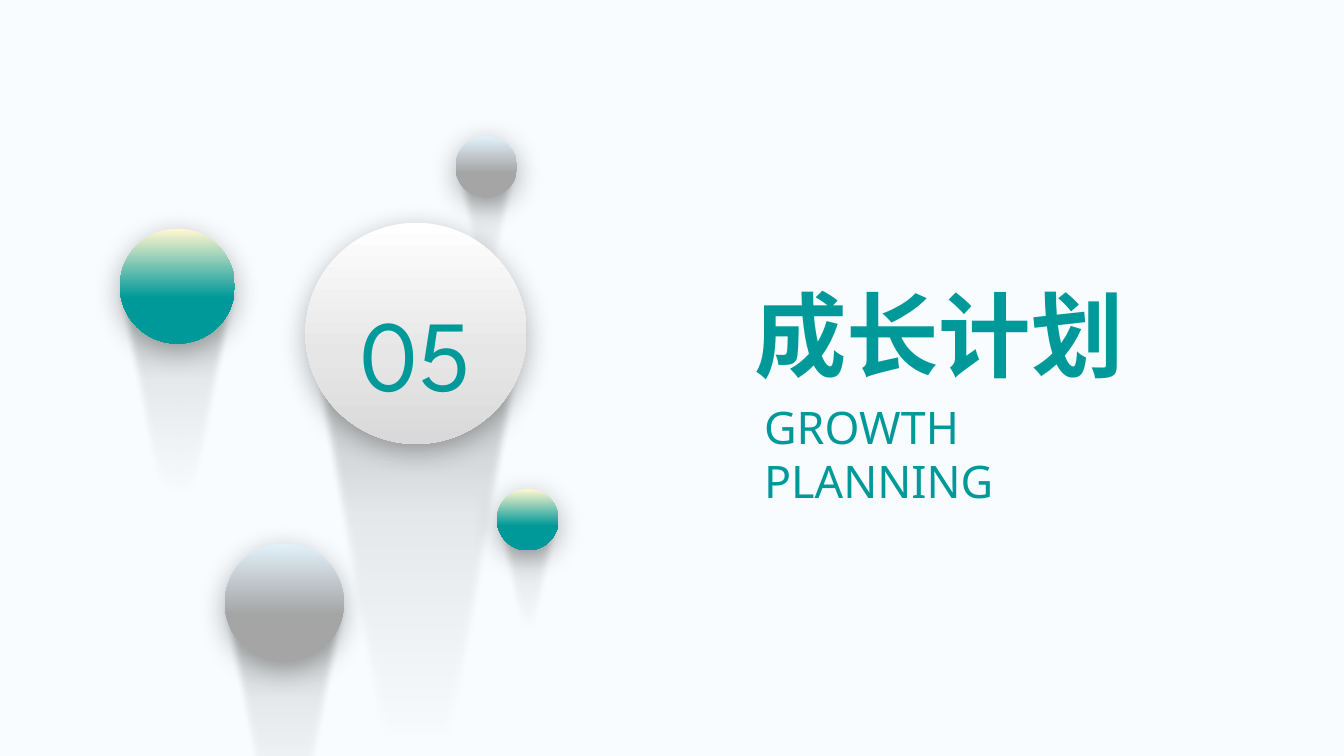
from lxml.etree import SubElement
from pptx import Presentation
from pptx.dml.color import RGBColor
from pptx.enum.shapes import MSO_SHAPE
from pptx.enum.text import MSO_ANCHOR, MSO_AUTO_SIZE, PP_ALIGN
from pptx.oxml.ns import qn
from pptx.util import Pt

HUES = {"back": "F8FCFE", "teal": "009999", "cream": "FFF6CF",
        "grey": "A5A5A5", "ice": "E1F0F9", "white": "FFFFFF",
        "pale": "E7E6E6", "silver": "D9D9D9",
        "black": "000000", "soot": "262626"}

# Gradient stops: position %, colour, opacity %
TEAL = [(1, "cream", 100), (60, "teal", 100), (100, "teal", 100)]
GREY = [(1, "ice", 100), (60, "grey", 100), (100, "grey", 100)]
WHITE = [(0, "white", 100), (60, "pale", 100), (100, "silver", 100)]
FADE = [(0, "soot", 30), (30, "black", 8), (50, "black", 4), (70, "black", 0)]

# Left, top, size, tail width, tail length, stops, label
BALLS = [
    (325.4, 97.2, 44, 49, 119.5, GREY, ""),
    (218.2, 159.1, 158, 160, 427.7, WHITE, "05"),
    (160.6, 388.1, 85, 94.3, 230.4, GREY, ""),
    (355, 349.2, 44, 49, 119.5, TEAL, ""),
    (85.7, 163.4, 82.1, 90.7, 222.5, TEAL, ""),
]


def tint(node, hue, alpha):
    """Add a colour with its opacity to an XML node."""
    clr = SubElement(node, qn("a:srgbClr"), val=HUES[hue])
    if alpha < 100:
        SubElement(clr, qn("a:alpha"), val=str(alpha * 1000))


def shade(shape, stops):
    """Fill a shape from top to bottom, without outline."""
    shape.fill.gradient()
    shape.fill.gradient_angle = 270
    shape.line.fill.background()
    stop_list = next(shape._element.iter(qn("a:gsLst")))
    for old in list(stop_list):
        stop_list.remove(old)
    for pos, hue, alpha in stops:
        tint(SubElement(stop_list, qn("a:gs"), pos=str(pos * 1000)), hue, alpha)


def effect(shape, kind, **attrs):
    shape.shadow.inherit = False
    holder = next(shape._element.iter(qn("a:effectLst")))
    return SubElement(holder, qn(kind), **attrs)


def style(para, size, font, bold=False):
    para.font.size = Pt(size)
    para.font.name = font
    para.font.bold = bold
    para.font.color.rgb = RGBColor.from_string(HUES["teal"])


def add_tail(shapes, mid, top, width, length):
    """Draw a soft shadow that narrows to a point below a ball."""
    half = width / 2
    side = []
    for step in range(13):
        t = step / 12
        u = 1 - t
        side.append((half * (u**3 + 3 * u * u * t * 0.67 + 3 * u * t * t * 0.08),
                     length * (3 * u * u * t * 0.33 + 3 * u * t * t * 1.02 + t**3)))
    points = [(mid + x, top + y) for x, y in side]
    points += [(mid - x, top + y) for x, y in reversed(side[:-1])]
    spots = [(Pt(x), Pt(y)) for x, y in points]
    pen = shapes.build_freeform(*spots[0])
    pen.add_line_segments(spots[1:], close=True)
    tail = pen.convert_to_shape()
    shade(tail, FADE)
    effect(tail, "a:softEdge", rad=str(Pt(5)))


def add_ball(slide, left, top, size, width, length, stops, label):
    shapes = slide.shapes.add_group_shape().shapes
    add_tail(shapes, left + size / 2, top + size / 2, width, length)
    ball = shapes.add_shape(MSO_SHAPE.OVAL, Pt(left), Pt(top), Pt(size), Pt(size))
    shade(ball, stops)
    cast = effect(ball, "a:outerShdw", blurRad=str(Pt(20)), dist=str(Pt(5)),
                  dir="5400000", algn="t", rotWithShape="0")
    tint(cast, "black", 30)
    if label:
        frame = ball.text_frame
        frame.text = label
        frame.vertical_anchor = MSO_ANCHOR.MIDDLE
        para = frame.paragraphs[0]
        para.alignment = PP_ALIGN.CENTER
        para.line_spacing = 1.3
        style(para, 72, "League Spartan")


def set_text(holder, box, text, size, bold, wrap, anchor):
    holder.left, holder.top, holder.width, holder.height = map(Pt, box)
    frame = holder.text_frame
    frame.text = text
    frame.word_wrap = wrap
    frame.auto_size = MSO_AUTO_SIZE.NONE
    frame.vertical_anchor = anchor
    para = frame.paragraphs[0]
    para.alignment = PP_ALIGN.LEFT
    para.space_before = Pt(0)
    style(para, size, "Noto Sans", bold)


def add_section(deck):
    slide = deck.slides.add_slide(deck.slide_layouts[0])
    back = slide.background.fill
    back.solid()
    back.fore_color.rgb = RGBColor.from_string(HUES["back"])
    for ball in BALLS:
        add_ball(slide, *ball)
    title, sub = slide.placeholders
    set_text(title, (531.4, 194.4, 280.8, 87.1), "成长计划",
             66, True, False, MSO_ANCHOR.BOTTOM)
    set_text(sub, (538.6, 282.2, 272.9, 85), "GROWTH PLANNING",
             32, False, True, MSO_ANCHOR.TOP)


def main():
    deck = Presentation()
    deck.slide_width, deck.slide_height = Pt(960), Pt(540)
    add_section(deck)
    deck.save("out.pptx")


if __name__ == "__main__":
    main()
